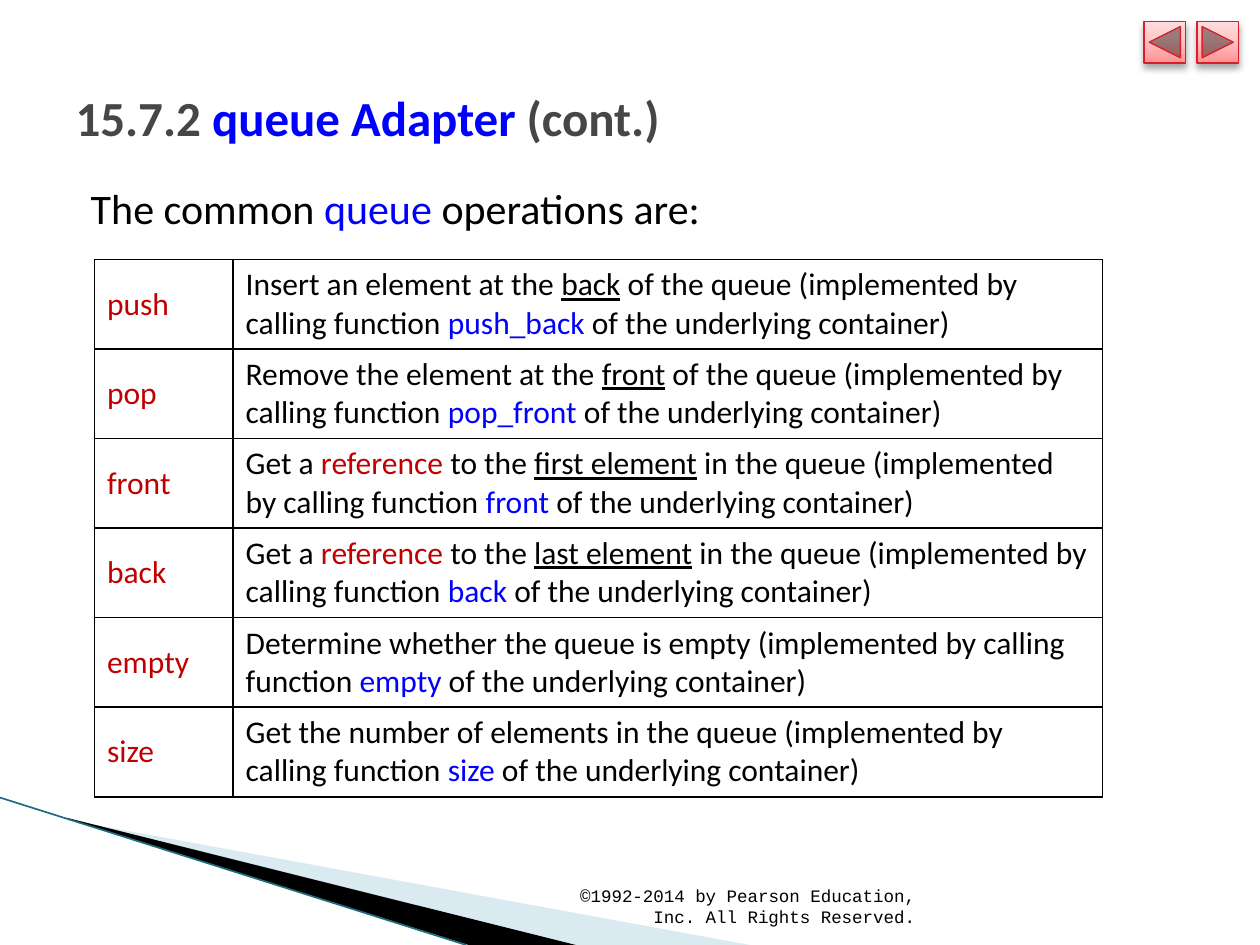
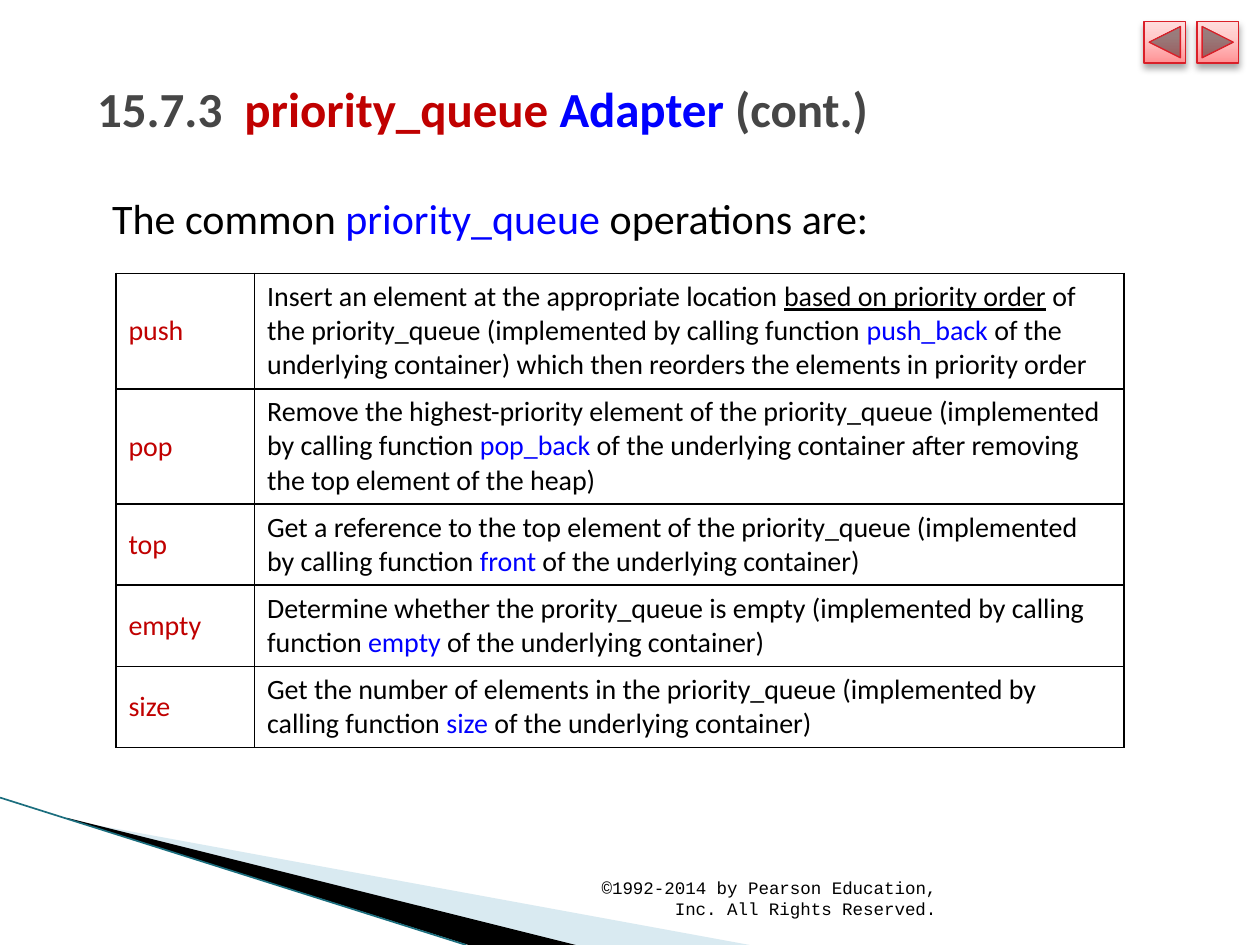
from pptx import Presentation
from pptx import util as u
from pptx.dml.color import RGBColor
from pptx.enum import shapes, text
from pptx.oxml import parse_xml
from pptx.oxml.ns import nsdecls, qn
from lxml import etree

BLACK = RGBColor(0x00, 0x00, 0x00)
WHITE = RGBColor(0xFF, 0xFF, 0xFF)
GREY = RGBColor(0x46, 0x46, 0x46)
BLUE = RGBColor(0x00, 0x00, 0xFF)
RED = RGBColor(0xC0, 0x00, 0x00)
PALE_BLUE = RGBColor(0xA0, 0xCB, 0xDC)
TEAL = RGBColor(0x1B, 0x6E, 0x7E)
BUTTON_LINE = RGBColor(0xDA, 0x1F, 0x28)
BUTTON_STOPS = (
    (0, RGBColor(0xFF, 0x92, 0x94)),
    (65, RGBColor(0xFF, 0xCD, 0xCD)),
    (100, RGBColor(0xFF, 0xDC, 0xDC)),
)
MARKS = {"^": {"color": BLUE}, "!": {"color": RED}, "~": {"underline": True}}
COPYRIGHT = "©1992-2014 by Pearson Education, Inc. All Rights Reserved."

QUEUE = {
    "left": 0.5,
    "tops": {"title": 0.3, "intro": 1.32, "table": 2.06, "footer": 7.01},
    "title": "15.7.2 |^queue Adapter| (cont.)",
    "intro": "The common |^queue| operations are:",
    "size": 18,
    "heights": [0.71] * 6,
    "rows": [
        ("push", "Insert an element at the |~back| of the queue (implemented by calling "
                 "function |^push_back| of the underlying container)"),
        ("pop", "Remove the element at the |~front| of the queue (implemented by calling "
                "function |^pop_front| of the underlying container)"),
        ("front", "Get a |!reference| to the |~first element| in the queue (implemented by "
                  "calling function |^front| of the underlying container)"),
        ("back", "Get a |!reference| to the |~last element| in the queue (implemented by "
                 "calling function |^back |of the underlying container)"),
        ("empty", "Determine whether the queue is empty (implemented by calling "
                  "function |^empty| of the underlying container)"),
        ("size", "Get the number of elements in the queue (implemented by calling "
                 "function |^size| of the underlying container)"),
    ],
}

PRIORITY_QUEUE = {
    "left": 0.67,
    "tops": {"title": 0.23, "intro": 1.4, "table": 2.17, "footer": 6.94},
    "title": "15.7.3 |! priority_queue |^Adapter |(cont.)",
    "intro": "The common |^priority_queue| operations are:",
    "size": 16,
    "heights": [0.91] * 2 + [0.64] * 3,
    "rows": [
        ("push", "Insert an element at the appropriate location |~based on priority order| of "
                 "the priority_queue (implemented by calling function |^push_back| of the "
                 "underlying container) which then reorders the elements in priority order"),
        ("pop", "Remove the highest-priority element of the priority_queue (implemented by "
                "calling function |^pop_back| of the underlying container after removing "
                "the top element of the heap)"),
        ("top", "Get a reference to the top element of the priority_queue (implemented by "
                "calling function |^front| of the underlying container)"),
        ("empty", "Determine whether the prority_queue is empty (implemented by calling "
                  "function |^empty| of the underlying container)"),
        ("size", "Get the number of elements in the priority_queue (implemented by calling "
                 "function |^size| of the underlying container)"),
    ],
}


def write(para, words, size, color=BLACK, bold=False, font="Calibri",
          align=text.PP_ALIGN.LEFT):
    para.alignment = align
    for part in filter(None, words.split("|")):
        style = MARKS.get(part[0], {})
        span = para.add_run()
        span.text = part[1:] if style else part
        span.font.name = font
        span.font.size = u.Pt(size)
        span.font.bold = bold
        span.font.underline = style.get("underline", False)
        span.font.color.rgb = style.get("color", color)


def place(box, left, top, width, height, anchor):
    box.left, box.top = u.Inches(left), u.Inches(top)
    box.width, box.height = u.Inches(width), u.Inches(height)
    frame = box.text_frame
    frame.word_wrap = True
    frame.auto_size = text.MSO_AUTO_SIZE.NONE
    frame.vertical_anchor = anchor
    return frame.paragraphs[0]


def add_wedge(page, points, color, alpha=100):
    corners = [(u.Inches(x), u.Inches(y)) for x, y in points]
    builder = page.shapes.build_freeform(*corners[0])
    builder.add_line_segments(corners[1:])
    wedge = builder.convert_to_shape()
    wedge.shadow.inherit = False
    wedge.fill.solid()
    wedge.fill.fore_color.rgb = color
    wedge.line.fill.background()
    if alpha < 100:
        tint = wedge._element.spPr.find(".//" + qn("a:srgbClr"))
        etree.SubElement(tint, qn("a:alpha"), val=str(alpha * 1000))
    return wedge


def add_button(page, kind, left, top, side):
    button = page.shapes.add_shape(
        kind, u.Inches(left), u.Inches(top), u.Inches(side), u.Inches(side))
    button.line.color.rgb = BUTTON_LINE
    button.line.width = u.Pt(0.75)
    button.shadow.inherit = False
    stops = "".join(f'<a:gs pos="{spot * 1000}"><a:srgbClr val="{color}"/></a:gs>'
                    for spot, color in BUTTON_STOPS)
    properties = button._element.spPr
    properties.find(qn("a:prstGeom")).addnext(parse_xml(
        f'<a:gradFill {nsdecls("a")}><a:gsLst>{stops}</a:gsLst>'
        '<a:lin ang="16200000" scaled="0"/></a:gradFill>'))
    properties.find(qn("a:effectLst")).append(parse_xml(
        f'<a:outerShdw {nsdecls("a")} blurRad="{u.Pt(4)}" dist="{u.Pt(3)}" dir="5400000" '
        f'rotWithShape="0"><a:srgbClr val="{BLACK}"><a:alpha val="35000"/>'
        '</a:srgbClr></a:outerShdw>'))
    return button


def add_edge(page, start, end):
    edge = page.shapes.add_connector(
        shapes.MSO_CONNECTOR.STRAIGHT, *map(u.Inches, start + end))
    edge.line.color.rgb = TEAL
    edge.line.width = u.Pt(0.95)
    etree.SubElement(edge._element.spPr, qn("a:effectLst"))
    return edge


def share_backdrop(page):
    parts = [
        add_wedge(page, [(0.55, 6.51), (5.95, 7.5), (4.56, 7.5), (0.55, 6.5)], PALE_BLUE, 40),
        add_wedge(page, [(0.53, 6.49), (4.57, 7.5), (3.72, 7.5), (0.54, 6.5)], BLACK),
        add_edge(page, (0, 6.33), (3.7, 7.5)),
        add_button(page, shapes.MSO_SHAPE.ACTION_BUTTON_BACK_OR_PREVIOUS, 9.08, 0.17, 0.33),
        add_button(page, shapes.MSO_SHAPE.ACTION_BUTTON_FORWARD_OR_NEXT, 9.5, 0.17, 0.33),
    ]
    for part in parts:
        page.slide_layout.shapes._spTree.append(part._element)


def fill_heading(page, left, tops, title, intro):
    para = place(page.shapes.title, left, tops["title"], 9, 1.25, text.MSO_ANCHOR.MIDDLE)
    write(para, title, 28, GREY, bold=True)

    para = place(page.placeholders[1], left, tops["intro"], 9, 0.6, text.MSO_ANCHOR.TOP)
    settings = para._p.get_or_add_pPr()
    settings.set("marL", str(u.Inches(0.12)))
    settings.set("indent", "0")
    etree.SubElement(settings, qn("a:buNone"))
    para.line_spacing = 1.2
    para.space_before = u.Pt(0)
    para.space_after = u.Pt(4)
    write(para, intro, 24)


def add_footer(page, left, top):
    box = page.shapes.add_textbox(0, 0, 0, 0)
    para = place(box, left, top, 3.03, 0.4, text.MSO_ANCHOR.BOTTOM)
    write(para, COPYRIGHT, 10, font="Courier New", align=text.PP_ALIGN.RIGHT)


def format_cell(cell, words, size, color, anchor):
    cell.vertical_anchor = anchor
    cell.fill.solid()
    cell.fill.fore_color.rgb = WHITE
    for index, side in enumerate("LRTB"):
        cell._tc.tcPr.insert(index, parse_xml(
            f'<a:ln{side} {nsdecls("a")} w="{u.Pt(1)}"><a:solidFill>'
            f'<a:srgbClr val="{BLACK}"/></a:solidFill></a:ln{side}>'))
    write(cell.text_frame.paragraphs[0], words, size, color)


def add_operations(page, left, top, rows, heights, size):
    table = page.shapes.add_table(
        len(rows), 2, u.Inches(left), u.Inches(top), u.Inches(8), u.Inches(sum(heights))).table
    table.first_row = table.horz_banding = False
    table.columns[0].width = u.Inches(1.1)
    table.columns[1].width = u.Inches(6.9)
    for index, (name, meaning) in enumerate(rows):
        table.rows[index].height = u.Inches(heights[index])
        format_cell(table.cell(index, 0), name, size, RED, text.MSO_ANCHOR.MIDDLE)
        format_cell(table.cell(index, 1), meaning, size, BLACK, text.MSO_ANCHOR.TOP)


def fill_page(page, topic):
    left, tops = topic["left"], topic["tops"]
    fill_heading(page, left, tops, topic["title"], topic["intro"])
    add_footer(page, left + 3.83, tops["footer"])
    add_operations(page, left + 0.25, tops["table"],
                   topic["rows"], topic["heights"], topic["size"])


def main():
    deck = Presentation()
    deck.slide_width, deck.slide_height = u.Inches(10), u.Inches(7.5)
    layout = deck.slide_layouts[1]
    pages = [deck.slides.add_slide(layout) for _ in range(2)]
    share_backdrop(pages[0])
    for page, topic in zip(pages, (QUEUE, PRIORITY_QUEUE)):
        fill_page(page, topic)
    deck.save("out.pptx")


if __name__ == "__main__":
    main()
